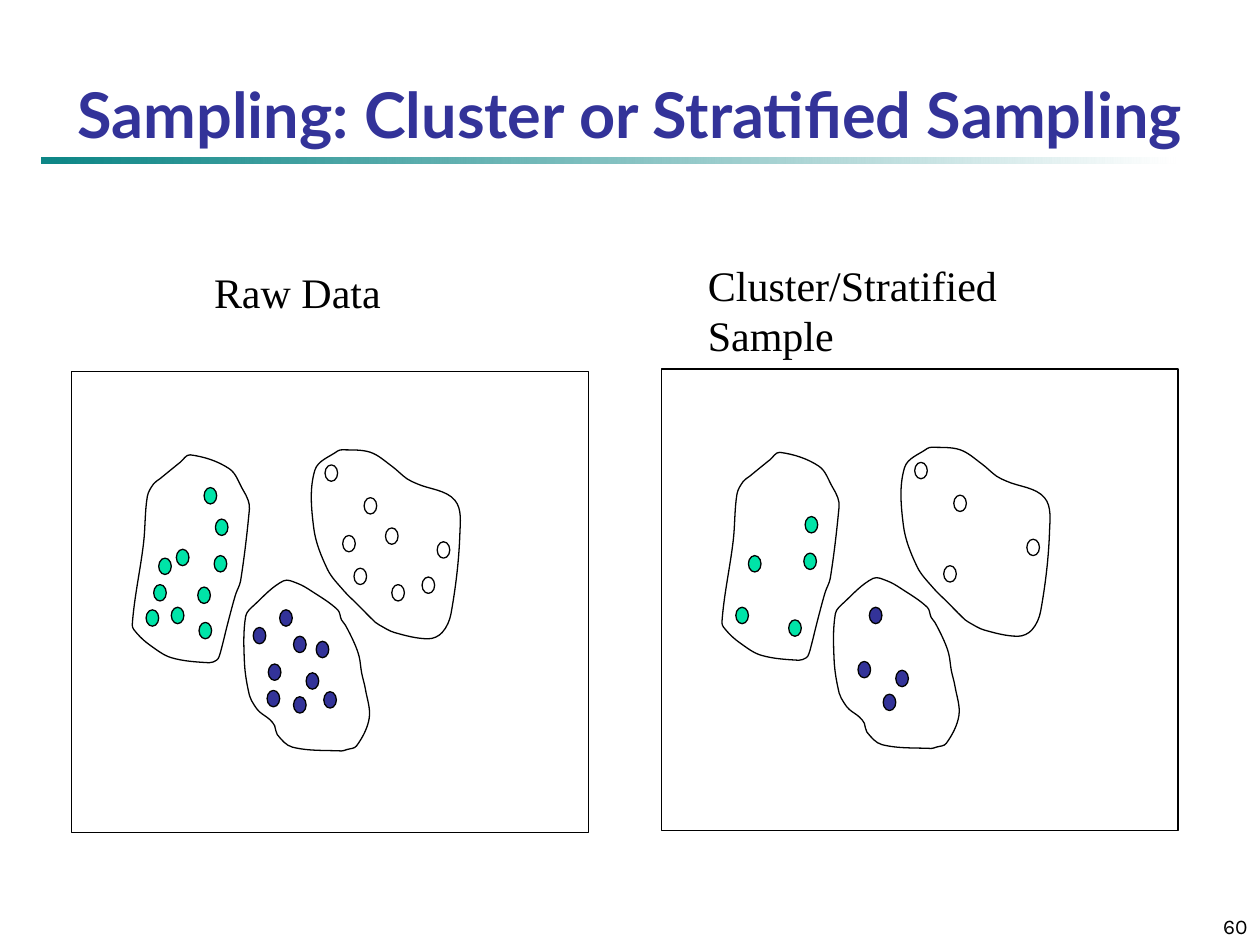
from math import hypot

from lxml import etree
from pptx import Presentation
from pptx.dml.color import RGBColor
from pptx.enum.shapes import MSO_SHAPE
from pptx.enum.text import MSO_ANCHOR, PP_ALIGN
from pptx.oxml.ns import qn
from pptx.util import Inches, Pt

RECT, DOT = MSO_SHAPE.RECTANGLE, MSO_SHAPE.FLOWCHART_CONNECTOR
BOTTOM, TOP = MSO_ANCHOR.BOTTOM, MSO_ANCHOR.TOP
LEFT, CENTER, RIGHT = PP_ALIGN.LEFT, PP_ALIGN.CENTER, PP_ALIGN.RIGHT

TITLE_FONT = dict(name="Lato", size=Pt(36), bold=True, color="333399")
LABEL_FONT = dict(name="Times New Roman", size=Pt(24), color="000000")
NUMBER_FONT = dict(name="Karla", size=Pt(12), color="000000")

PANEL_W, PANEL_H = 4.1, 3.66
DOT_W, DOT_H = 0.1, 0.13

# Each cluster: dot colour, dots, the dots drawn in the sample, outline anchors.
# Positions are inches from the panel's top left corner.
CLUSTERS = [
    dict(color="FFFFFF",
         dots=[(2.32, 1), (2.24, 1.56), (2.49, 1.24), (2.15, 1.3), (2.9, 1.35),
               (2.78, 1.63), (2.54, 1.69), (2.01, 0.74)],
         sample=[0, 1, 4, 7],
         outline=[(3.04, 1.02), (3.08, 1.29), (3.01, 1.92), (2.94, 2.07), (2.83, 2.12),
                  (2.56, 2.07), (2.44, 2.01), (2.41, 1.99), (2.26, 1.84), (2.16, 1.74),
                  (2.03, 1.57), (1.92, 1.24), (1.93, 0.78), (2.11, 0.63), (2.15, 0.62),
                  (2.37, 0.64), (2.54, 0.75), (2.66, 0.85), (2.74, 0.89)]),
    dict(color="333399",
         dots=[(1.44, 2.03), (1.94, 2.14), (1.76, 2.58), (1.86, 2.39), (1.56, 2.32),
               (1.55, 2.53), (1.65, 1.89), (1.76, 2.1), (2, 2.54)],
         sample=[2, 3, 4, 6],
         outline=[(1.61, 2.81), (1.57, 2.76), (1.49, 2.7), (1.45, 2.65), (1.41, 2.57),
                  (1.37, 2.31), (1.38, 1.94), (1.45, 1.85), (1.68, 1.66), (1.79, 1.68),
                  (1.9, 1.74), (2.11, 1.89), (2.14, 1.97), (2.17, 2.01), (2.24, 2.15),
                  (2.28, 2.26), (2.3, 2.39), (2.33, 2.52), (2.36, 2.75), (2.26, 2.97),
                  (2.18, 3), (2.14, 3.01), (1.75, 2.98), (1.63, 2.88)]),
    dict(color="00E4A8",
         dots=[(0.79, 1.87), (0.65, 1.69), (1, 1.71), (0.83, 1.41), (0.59, 1.89),
               (0.69, 1.48), (1.01, 1.99), (1.13, 1.46), (1.14, 1.17), (1.05, 0.92)],
         sample=[4, 5, 6, 7, 8],
         outline=[(1.3, 1.77), (1.24, 1.99), (1.19, 2.19), (1.17, 2.26), (1.15, 2.29),
                  (1.09, 2.31), (0.79, 2.27), (0.62, 2.17), (0.52, 2.08), (0.48, 2.01),
                  (0.57, 1.36), (0.6, 0.99), (0.65, 0.89), (0.7, 0.85), (0.81, 0.76),
                  (0.86, 0.72), (0.94, 0.66), (1.25, 0.77), (1.36, 0.94), (1.4, 1.02),
                  (1.41, 1.09), (1.34, 1.66)]),
]


def rgb(value):
    return RGBColor.from_string(value)


def set_text(sp, text, font, align=LEFT, anchor=TOP):
    tf = sp.text_frame
    tf.word_wrap = True
    tf.vertical_anchor = anchor
    p = tf.paragraphs[0]
    p.alignment = align
    r = p.add_run()
    r.text = text
    for key, value in font.items():
        if key == "color":
            r.font.color.rgb = rgb(value)
        else:
            setattr(r.font, key, value)


def add_label(slide, box, text, font, **layout):
    sp = slide.shapes.add_textbox(*map(Inches, box))
    set_text(sp, text, font, **layout)


def format_shape(sp, fill=None):
    sp.shadow.inherit = False
    sp.line.color.rgb = rgb("000000")
    sp.line.width = Pt(0.75)
    if fill:
        sp.fill.solid()
        sp.fill.fore_color.rgb = rgb(fill)
    else:
        sp.fill.background()


def add_preset(slide, kind, box, fill=None):
    sp = slide.shapes.add_shape(kind, *map(Inches, box))
    format_shape(sp, fill)


def smooth(sp):
    """Turn the straight sides of a closed freeform into curves."""
    lines = list(sp._element.iter(qn("a:lnTo")))
    pts = [(int(line[0].get("x")), int(line[0].get("y"))) for line in lines]
    n = len(pts)

    def tangent(i):
        (x0, y0), (x1, y1) = pts[i - 1], pts[(i + 1) % n]
        length = hypot(x1 - x0, y1 - y0)
        return (x1 - x0) / length, (y1 - y0) / length

    for i, line in enumerate(lines):
        (ax, ay), (bx, by) = pts[i - 1], pts[i]
        (ux, uy), (vx, vy) = tangent((i - 1) % n), tangent(i)
        h = hypot(bx - ax, by - ay) / 3
        curve = etree.Element(qn("a:cubicBezTo"))
        for x, y in ((ax + ux * h, ay + uy * h), (bx - vx * h, by - vy * h), (bx, by)):
            etree.SubElement(curve, qn("a:pt"), x=str(round(x)), y=str(round(y)))
        line.getparent().replace(line, curve)


def add_outline(slide, left, top, anchors):
    pts = [(Inches(left + x), Inches(top + y)) for x, y in anchors]
    builder = slide.shapes.build_freeform(*pts[0])
    builder.add_line_segments(pts[1:] + pts[:1], close=True)
    sp = builder.convert_to_shape()
    smooth(sp)
    format_shape(sp)


def add_panel(slide, left, top, sampled):
    add_preset(slide, RECT, (left, top, PANEL_W, PANEL_H))
    for cluster in CLUSTERS:
        add_outline(slide, left, top, cluster["outline"])
        dots = cluster["dots"]
        for x, y in [dots[i] for i in cluster["sample"]] if sampled else dots:
            add_preset(slide, DOT, (left + x, top + y, DOT_W, DOT_H), cluster["color"])


def add_header(slide, box, text):
    left, top, width, height = box
    # Gradient rule under the title
    rule = slide.shapes.add_shape(RECT, *map(Inches, (0.33, top + height, 9, 0.05)))
    rule.shadow.inherit = False
    rule.line.fill.background()
    rule.fill.gradient()
    rule.fill.gradient_angle = 0
    for stop, color, position in zip(rule.fill.gradient_stops, ("008080", "FFFFFF"), (0, 1)):
        stop.color.rgb = rgb(color)
        stop.position = position
    first = next(rule._element.iter(qn("a:srgbClr")))
    etree.SubElement(first, qn("a:alpha"), val="95000")
    # Title
    title = slide.shapes.title
    title.left, title.top, title.width, title.height = map(Inches, box)
    set_text(title, text, TITLE_FONT, align=CENTER, anchor=BOTTOM)


def main():
    prs = Presentation()
    prs.slide_width, prs.slide_height = Inches(10), Inches(7.5)
    slide = prs.slides.add_slide(prs.slide_layouts[5])
    add_header(slide, (0.25, 0.33, 9.5, 0.92), "Sampling: Cluster or Stratified Sampling")

    # Panels with their headings
    add_panel(slide, 0.57, 2.95, sampled=False)
    add_panel(slide, 5.25, 2.93, sampled=True)
    add_label(slide, (1.6, 2.07, 1.61, 0.5), "Raw Data", LABEL_FONT)
    add_label(slide, (5.52, 2.01, 3.3, 0.5), "Cluster/Stratified Sample", LABEL_FONT)

    # Slide number
    add_label(slide, (7.92, 7.08, 2.08, 0.42), "60", NUMBER_FONT, align=RIGHT, anchor=BOTTOM)
    prs.save("out.pptx")


if __name__ == "__main__":
    main()
